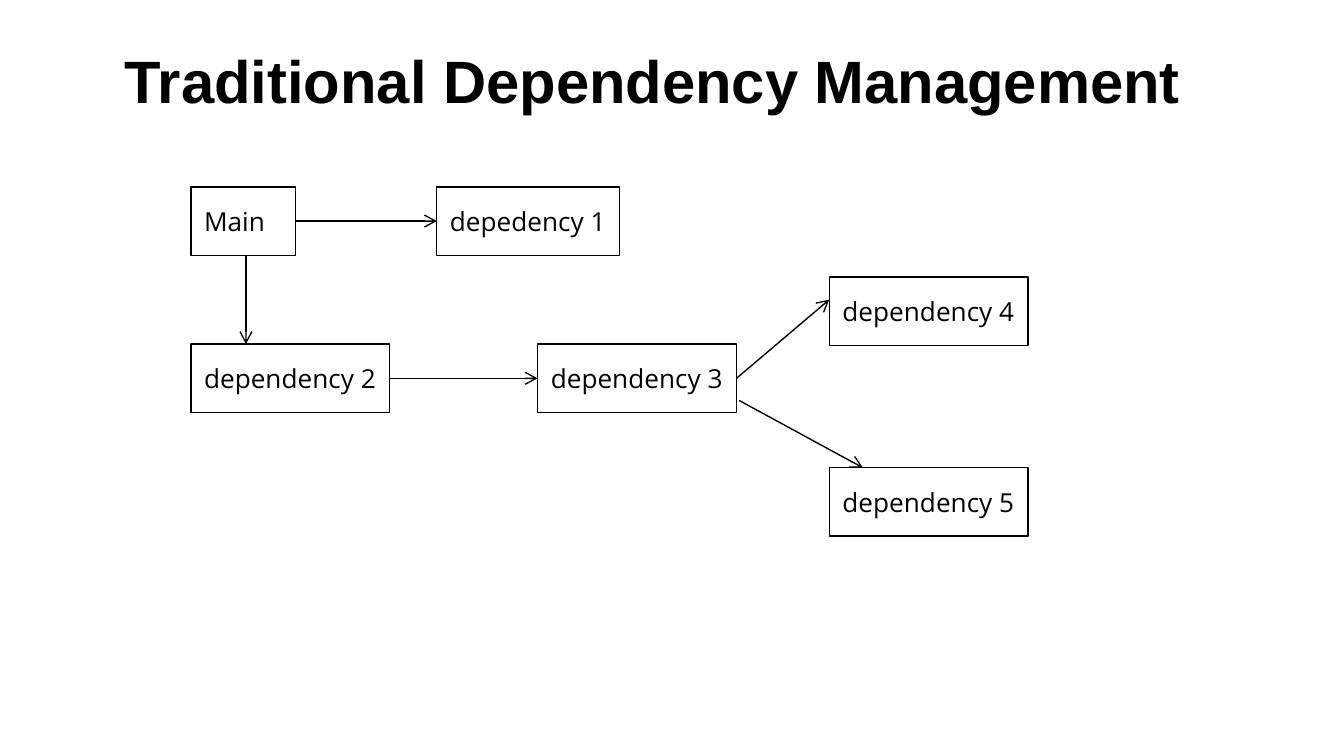
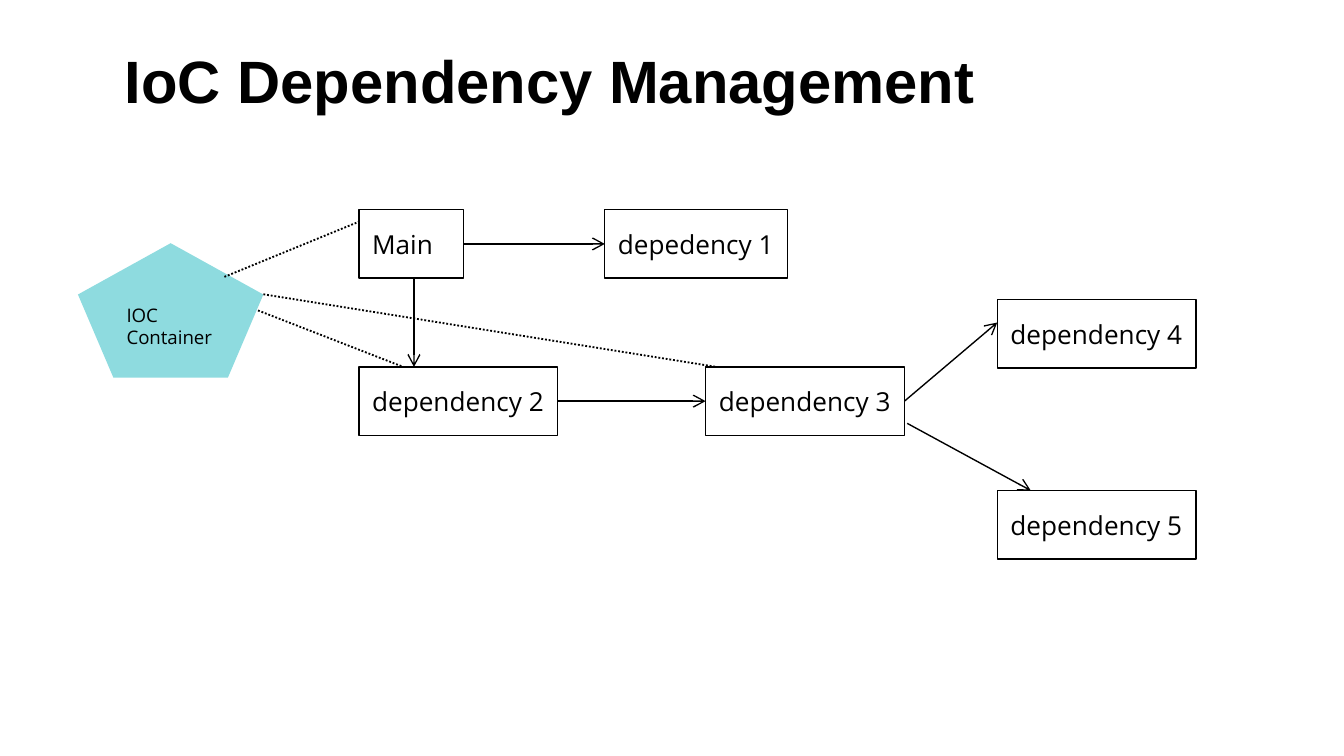
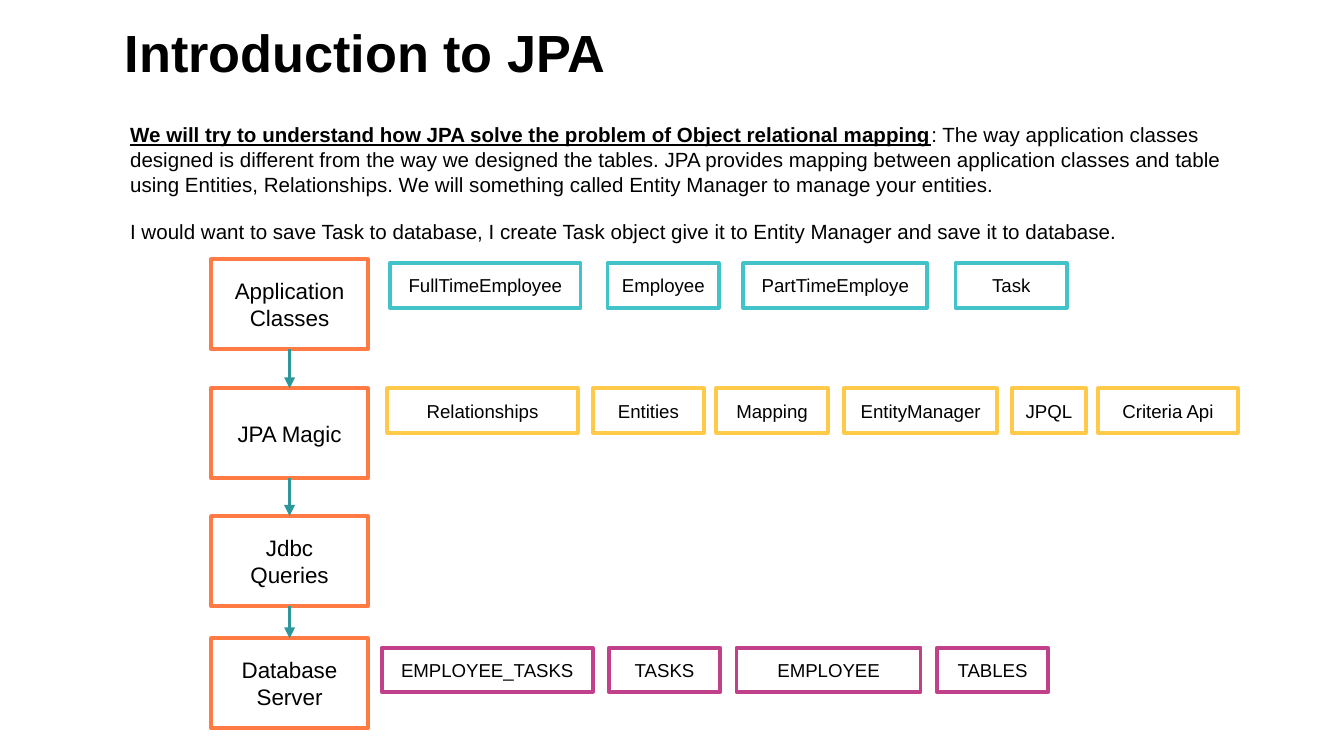
from dataclasses import dataclass

from lxml.etree import SubElement
from pptx import Presentation
from pptx.dml.color import RGBColor
from pptx.enum.dml import MSO_LINE
from pptx.enum.shapes import MSO_CONNECTOR, MSO_SHAPE
from pptx.enum.text import MSO_ANCHOR, PP_ALIGN
from pptx.oxml.ns import qn
from pptx.util import Inches, Pt


@dataclass(frozen=True)
class Theme:
    black: str = "000000"
    white: str = "FFFFFF"
    container: str = "8EDBDF"
    stage: str = "FF7B43"
    stage_arrow: str = "2D979C"
    classes: str = "42C3C9"
    jpa: str = "FFC94A"
    tables: str = "C1408A"
    heading_font: str = "Arial"
    diagram_font: str = "Open Sans"
    title_size: int = 32
    small_title_size: int = 28
    node_size: int = 14
    stage_size: int = 12
    body_size: int = 11
    tag_size: int = 10


THEME = Theme()
LEFT, RIGHT, TOP, BOTTOM = 1, 3, 0, 2  # connection sites of a rectangle

NODE_HEIGHT = 0.51
# label: left, top, width within the dependency graph
NODES = {
    "Main": (0, 0, 0.78),
    "depedency 1": (1.83, 0, 1.36),
    "dependency 2": (0, 1.17, 1.48),
    "dependency 3": (2.58, 1.17, 1.48),
    "dependency 5": (4.75, 2.09, 1.48),
    "dependency 4": (4.75, 0.67, 1.48),
}

STAGE_LEFT, STAGE_WIDTH, STAGE_HEIGHT = 1.57, 1.17, 0.67
STAGES = [("Application Classes", 1.93), ("JPA Magic", 2.89),
          ("Jdbc Queries", 3.84), ("Database Server", 4.75)]

TAG_HEIGHT = 0.33
# top, colour, tags as (label, left, width)
TAG_ROWS = [
    (1.96, THEME.classes, [("FullTimeEmployee", 2.9, 1.42), ("Employee", 4.52, 0.83),
                           ("PartTimeEmploye", 5.53, 1.37), ("Task", 7.11, 0.83)]),
    (2.89, THEME.jpa, [("Relationships", 2.88, 1.42), ("Entities", 4.41, 0.83),
                       ("Mapping", 5.33, 0.83), ("EntityManager", 6.28, 1.14),
                       ("JPQL", 7.53, 0.55), ("Criteria Api", 8.17, 1.04)]),
    (4.82, THEME.tables, [("EMPLOYEE_TASKS", 2.84, 1.57), ("TASKS", 4.53, 0.83),
                          ("EMPLOYEE", 5.48, 1.37), ("TABLES", 6.97, 0.83)]),
]


def color(value):
    return RGBColor.from_string(value)


def style_font(font, name, size, bold=None):
    font.name, font.size, font.bold = name, Pt(size), bold
    font.color.rgb = color(THEME.black)


def add_box(slide, box, text, font, size, line=None, line_width=0.75,
            fill=THEME.white, kind=MSO_SHAPE.RECTANGLE,
            align=PP_ALIGN.LEFT, insets=(0.1, 0.1)):
    """Filled shape with text centred vertically; no outline without a line colour."""
    shape = slide.shapes.add_shape(kind, *map(Inches, box))
    shape.shadow.inherit = False
    shape.fill.solid()
    shape.fill.fore_color.rgb = color(fill)
    if line:
        shape.line.color.rgb = color(line)
        shape.line.width = Pt(line_width)
    else:
        shape.line.fill.background()
    frame = shape.text_frame
    frame.word_wrap = True
    frame.vertical_anchor = MSO_ANCHOR.MIDDLE
    frame.margin_left, frame.margin_right = map(Inches, insets)
    frame.text = text
    for paragraph in frame.paragraphs:
        paragraph.alignment = align
        style_font(paragraph.font, font, size)
    return shape


def add_line(slide, start, end, line=THEME.black, width=0.75, head=None, dash=None):
    """Each end is an (x, y) point or a (shape, site) pair to join."""
    ends = (start, end)
    points = [(0, 0) if hasattr(first, "shape_id") else (Inches(first), Inches(second))
              for first, second in ends]
    connector = slide.shapes.add_connector(MSO_CONNECTOR.STRAIGHT, *points[0], *points[1])
    for (target, site), join in zip(ends, (connector.begin_connect, connector.end_connect)):
        if hasattr(target, "shape_id"):
            join(target, site)
    connector.line.color.rgb = color(line)
    connector.line.width = Pt(width)
    if dash:
        connector.line.dash_style = dash
    properties = connector._element.spPr
    if head:
        SubElement(properties.find(qn("a:ln")), qn("a:tailEnd"), type=head)
    SubElement(properties, qn("a:effectLst"))


def add_title(slide, text, top=0.38, size=THEME.title_size):
    title = slide.shapes.add_textbox(Inches(0.83), Inches(top), Inches(8.33), Inches(0.53))
    frame = title.text_frame
    frame.word_wrap = True
    frame.vertical_anchor = MSO_ANCHOR.BOTTOM
    frame.text = text
    style_font(frame.paragraphs[0].font, THEME.heading_font, size, bold=True)


def add_dependency_graph(slide, left, top):
    nodes = {
        label: add_box(slide, (left + x, top + y, width, NODE_HEIGHT), label,
                       THEME.diagram_font, THEME.node_size, THEME.black, insets=(0.1, 0))
        for label, (x, y, width) in NODES.items()
    }

    def point(x, y):
        return left + x, top + y

    arrows = [
        ((nodes["Main"], RIGHT), (nodes["depedency 1"], LEFT)),
        (point(0.41, NODE_HEIGHT), point(0.41, 1.17)),
        ((nodes["dependency 2"], RIGHT), (nodes["dependency 3"], LEFT)),
        ((nodes["dependency 3"], RIGHT), point(4.75, 0.84)),
        (point(4.08, 1.59), point(5, 2.09)),
    ]
    for start, end in arrows:
        add_line(slide, start, end, head="arrow")


def add_container(slide, left, top):
    """Pentagon with dotted links to the parts it manages."""
    add_box(slide, (left, top, 1.38, 1), "IOC\nContainer", THEME.diagram_font,
            THEME.tag_size, fill=THEME.container, kind=MSO_SHAPE.REGULAR_PENTAGON,
            insets=(0.1, 0))
    links = [(1.09, 0.25, 2.09, -0.16), (1.38, 0.38, 4.75, 0.92), (1.34, 0.5, 2.42, 0.92)]
    for x1, y1, x2, y2 in links:
        add_line(slide, (left + x1, top + y1), (left + x2, top + y2),
                 width=1, dash=MSO_LINE.ROUND_DOT)


def add_body(slide, left, top, width, height):
    body = slide.shapes.add_textbox(*map(Inches, (left, top, width, height)))
    frame = body.text_frame
    frame.word_wrap = True
    frame.margin_top = Inches(0.1)
    lead, detail = frame.paragraphs[0], frame.add_paragraph()
    opening = lead.add_run()
    opening.text = ("We will try to understand how JPA solve the problem of "
                    "Object relational mapping")
    opening.font.bold = opening.font.underline = True
    lead.add_run().text = (
        ": The way application classes designed is different from the way we designed "
        "the tables. JPA provides mapping between application classes and table using "
        "Entities, Relationships. We will something called Entity Manager to manage "
        "your entities.")
    detail.text = ("I would want to save Task to database, I create Task object give it "
                   "to Entity Manager and save it to database.")
    for paragraph in frame.paragraphs:
        paragraph.space_before = Pt(12)
        style_font(paragraph.font, THEME.heading_font, THEME.body_size)


def add_stages(slide):
    stages = [
        add_box(slide, (STAGE_LEFT, top, STAGE_WIDTH, STAGE_HEIGHT), label,
                THEME.heading_font, THEME.stage_size, THEME.stage, 2,
                align=PP_ALIGN.CENTER, insets=(0.15, 0.15))
        for label, top in STAGES
    ]
    for upper, lower in zip(stages, stages[1:]):
        add_line(slide, (upper, BOTTOM), (lower, TOP), THEME.stage_arrow, 1.5, "triangle")


def add_tag_row(slide, top, line, tags):
    for label, left, width in tags:
        add_box(slide, (left, top, width, TAG_HEIGHT), label, THEME.heading_font,
                THEME.tag_size, line, 2, align=PP_ALIGN.CENTER, insets=(0.05, 0.05))


def build_traditional(slide):
    add_title(slide, "Traditional Dependency Management")
    add_dependency_graph(slide, 1.42, 1.39)


def build_ioc(slide):
    add_title(slide, "IoC Dependency Management")
    add_dependency_graph(slide, 2.67, 1.56)
    add_container(slide, 0.58, 1.81)


def build_jpa(slide):
    add_title(slide, "Introduction to JPA", 0.14, THEME.small_title_size)
    add_body(slide, 0.87, 0.81, 8.33, 4.67)
    add_stages(slide)
    for top, line, tags in TAG_ROWS:
        add_tag_row(slide, top, line, tags)


def main():
    presentation = Presentation()
    # Widescreen, 16:9
    presentation.slide_width = Inches(10)
    presentation.slide_height = Inches(10 * 9 / 16)
    blank = presentation.slide_layouts[6]
    for build in (build_traditional, build_ioc, build_jpa):
        build(presentation.slides.add_slide(blank))
    presentation.save("out.pptx")


if __name__ == "__main__":
    main()
